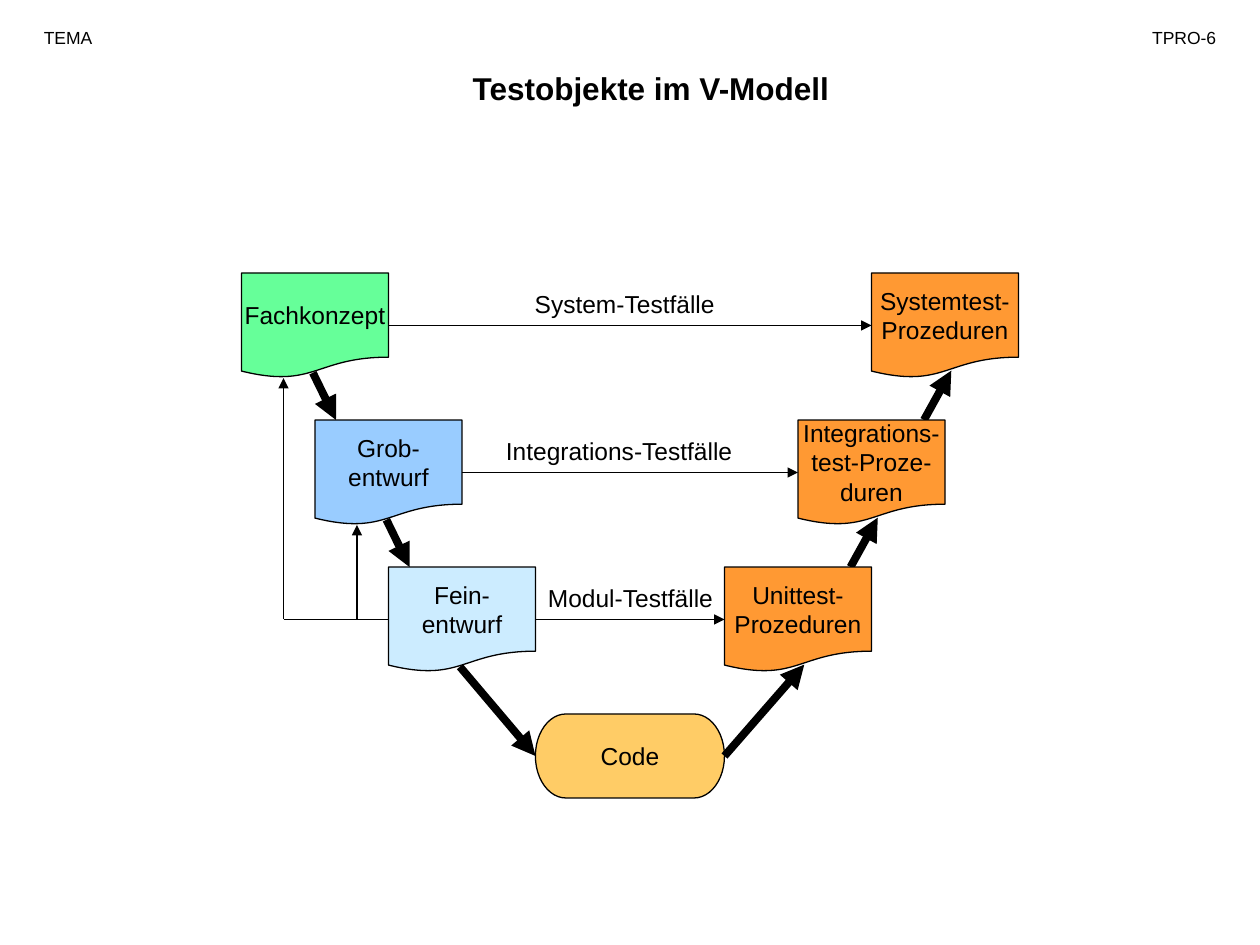
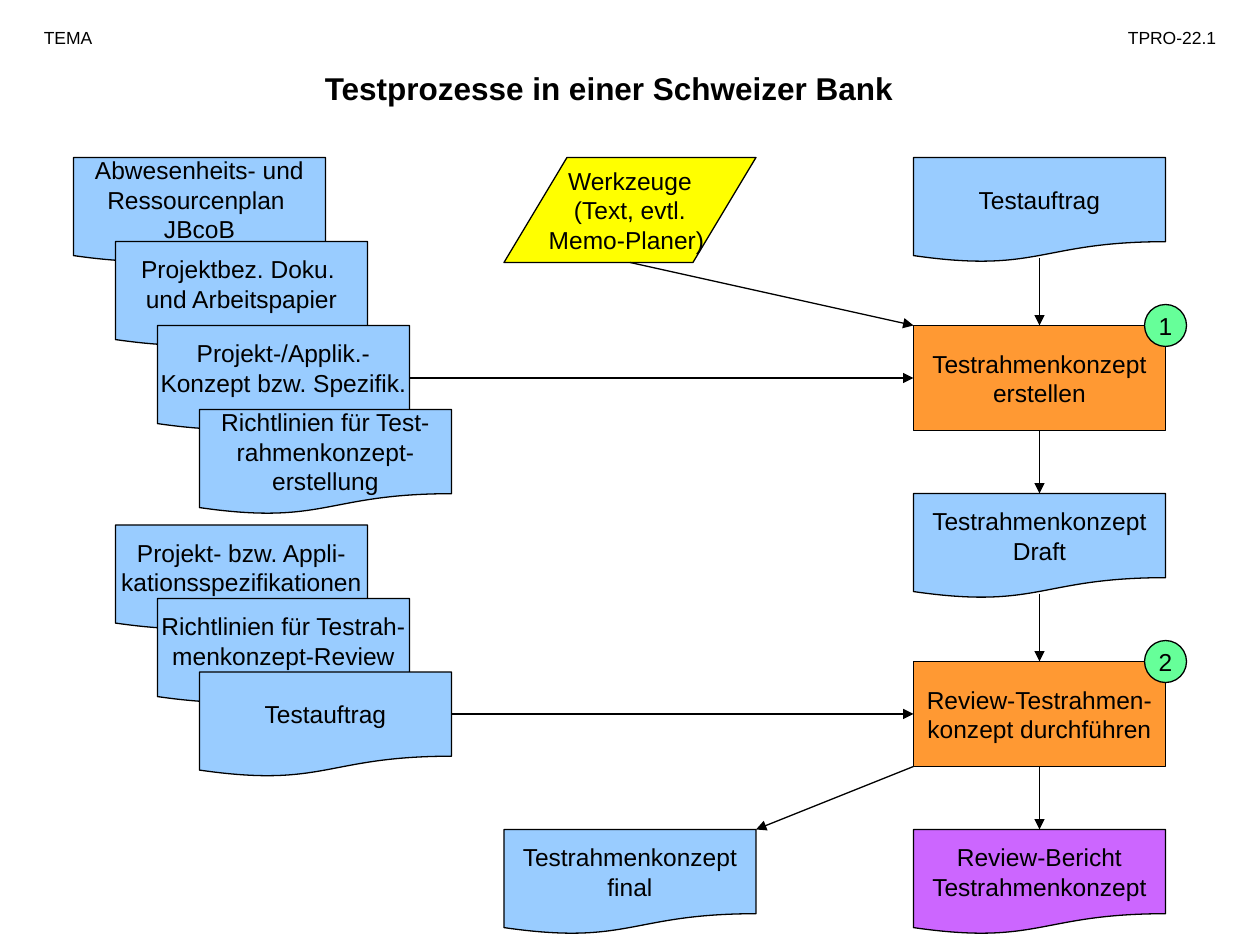
from collections import namedtuple

from lxml import etree
from pptx import Presentation
from pptx.dml.color import RGBColor
from pptx.enum.shapes import MSO_CONNECTOR, MSO_SHAPE
from pptx.enum.text import MSO_ANCHOR, MSO_AUTO_SIZE, PP_ALIGN
from pptx.oxml.ns import qn
from pptx.util import Inches, Pt

BLACK = RGBColor(0x00, 0x00, 0x00)
GREEN = RGBColor(0x66, 0xFF, 0x99)
BLUE = RGBColor(0x99, 0xCC, 0xFF)
PALE_BLUE = RGBColor(0xCC, 0xEC, 0xFF)
ORANGE = RGBColor(0xFF, 0x99, 0x33)
AMBER = RGBColor(0xFF, 0xCC, 0x66)
YELLOW = RGBColor(0xFF, 0xFF, 0x00)
PURPLE = RGBColor(0xCC, 0x66, 0xFF)

DOCUMENT = MSO_SHAPE.FLOWCHART_DOCUMENT
TERMINATOR = MSO_SHAPE.FLOWCHART_TERMINATOR
TOOL = MSO_SHAPE.PARALLELOGRAM
ACTIVITY = MSO_SHAPE.RECTANGLE
BADGE = MSO_SHAPE.OVAL
STRAIGHT = MSO_CONNECTOR.STRAIGHT
LEFT, CENTER, RIGHT = PP_ALIGN.LEFT, PP_ALIGN.CENTER, PP_ALIGN.RIGHT
TOP, MIDDLE = MSO_ANCHOR.TOP, MSO_ANCHOR.MIDDLE
SIDE_TOP, SIDE_LEFT, SIDE_BOTTOM, SIDE_RIGHT = range(4)

# The slide is a grid of 120 columns and 90 rows
WIDTH, HEIGHT = Inches(10), Inches(7.5)
COLUMN, ROW = WIDTH / 120, HEIGHT / 90
BOX_ROWS = 10
THIN, THICK = Pt(0.75), Pt(4.5)

BODY_FONT = {"name": "Arial", "size": Pt(14), "bold": False}
HEADER_FONT = {**BODY_FONT, "size": Pt(10)}
TITLE_FONT = {**BODY_FONT, "size": Pt(18), "bold": True}

Area = namedtuple("Area", "left top width height")
Joint = namedtuple("Joint", "box side")


def to_lengths(area):
    return (round(area.left * COLUMN), round(area.top * ROW),
            round(area.width * COLUMN), round(area.height * ROW))


def write(box, text, font, align, anchor, wrap):
    frame = box.text_frame
    frame.text = text
    layout = {"word_wrap": wrap, "auto_size": MSO_AUTO_SIZE.NONE,
              "vertical_anchor": anchor,
              "margin_left": Inches(0.1), "margin_right": Inches(0.1),
              "margin_top": Inches(0.05), "margin_bottom": Inches(0.05)}
    for name, value in layout.items():
        setattr(frame, name, value)
    for para in frame.paragraphs:
        para.alignment = align
        for span in para.runs:
            span.font.color.rgb = BLACK
            for name, value in font.items():
                setattr(span.font, name, value)


def add_label(page, area, text, font=BODY_FONT, align=LEFT):
    box = page.shapes.add_textbox(*to_lengths(area))
    write(box, text, font, align, TOP, True)


def add_box(page, kind, area, text, colour):
    box = page.shapes.add_shape(kind, *to_lengths(area))
    box.shadow.inherit = False
    box.fill.solid()
    box.fill.fore_color.rgb = colour
    box.line.color.rgb = BLACK
    box.line.width = THIN
    write(box, text, BODY_FONT, CENTER, MIDDLE, False)
    return box


def add_line(page, start, end, width=THIN, arrow=True):
    """Each end is a (column, row) point or a Joint."""
    points = []
    for place in (start, end):
        column, row = (0, 0) if isinstance(place, Joint) else place
        points += [round(column * COLUMN), round(row * ROW)]
    line = page.shapes.add_connector(STRAIGHT, *points)
    if isinstance(start, Joint):
        line.begin_connect(*start)
    if isinstance(end, Joint):
        line.end_connect(*end)
    line.line.color.rgb = BLACK
    line.line.width = width
    properties = line._element.spPr
    if arrow:
        etree.SubElement(properties.find(qn("a:ln")), qn("a:tailEnd"), type="triangle")
    etree.SubElement(properties, qn("a:effectLst"))


def start_page(deck, title, title_area, number):
    page = deck.slides.add_slide(deck.slide_layouts[5])
    heading = page.shapes.title
    heading.left, heading.top, heading.width, heading.height = to_lengths(title_area)
    write(heading, title, TITLE_FONT, CENTER, TOP, True)
    add_label(page, Area(3, 2, 11, 3.2), "TEMA", HEADER_FONT)
    add_label(page, Area(104, 2, 13, 3.2), number, HEADER_FONT, RIGHT)
    return page


def draw_v_model(page, area):
    left, top = area.left, area.top
    right = left + area.width
    step_x, step_y, box_width = 7, 14, 14
    levels = [
        ("Fachkonzept", GREEN, "System-Testfälle", 33, CENTER, "Systemtest-\nProzeduren"),
        ("Grob-\nentwurf", BLUE, "Integrations-Testfälle", 25, LEFT,
         "Integrations-\ntest-Proze-\nduren"),
        ("Fein-\nentwurf", PALE_BLUE, "Modul-Testfälle", 19, LEFT, "Unittest-\nProzeduren"),
    ]
    code = add_box(page, TERMINATOR, Area(left + 28, top + 42, 18, 8), "Code", AMBER)

    # Thick arrows down the left arm and up the right arm
    for level in range(len(levels)):
        shift, row = level * step_x, top + level * step_y
        last = level == len(levels) - 1
        inward = Joint(code, SIDE_LEFT) if last else (left + 9 + shift, row + 14)
        outward = Joint(code, SIDE_RIGHT) if last else (right - 9 - shift, row + 14)
        add_line(page, (left + 6.8 + shift, row + 9.5), inward, THICK)
        add_line(page, outward, (right - 6.4 - shift, row + 9.3), THICK)

    # Design documents, test procedures and the test cases between them
    label_starts = (20, 24, 28)
    for level, (design, colour, cases, width, align, procedure) in enumerate(levels):
        shift, row = level * step_x, top + level * step_y
        source = add_box(page, DOCUMENT, Area(left + shift, row, box_width, BOX_ROWS),
                         design, colour)
        target = add_box(page, DOCUMENT,
                         Area(right - box_width - shift, row, box_width, BOX_ROWS),
                         procedure, ORANGE)
        add_line(page, Joint(source, SIDE_RIGHT), Joint(target, SIDE_LEFT))
        add_label(page, Area(left + label_starts[level], row + 0.95, width, 4),
                  cases, align=align)

    # Feedback from the detailed design to the earlier documents
    feedback_row = top + 33
    add_line(page, Joint(source, SIDE_LEFT), (left + 4, feedback_row), arrow=False)
    for level in range(2):
        column = left + 4 + level * step_x
        add_line(page, (column, feedback_row), (column, top + BOX_ROWS + level * step_y))


def draw_stack(page, area, row_step, texts):
    """Documents laid over one another, each four columns further right."""
    return [add_box(page, DOCUMENT,
                    Area(area.left + 4 * index, area.top + row_step * index,
                         area.width, BOX_ROWS), text, BLUE)
            for index, text in enumerate(texts)]


def draw_process(page, area):
    """Column of documents and numbered activities; returns the boxes."""
    steps = [
        (DOCUMENT, "Testauftrag", BLUE),
        (ACTIVITY, "Testrahmenkonzept\nerstellen", ORANGE),
        (DOCUMENT, "Testrahmenkonzept\nDraft", BLUE),
        (ACTIVITY, "Review-Testrahmen-\nkonzept durchführen", ORANGE),
        (DOCUMENT, "Review-Bericht\nTestrahmenkonzept", PURPLE),
    ]
    row_step = (area.height - BOX_ROWS) / (len(steps) - 1)
    rows = [area.top + row_step * index for index in range(len(steps))]
    boxes = [add_box(page, kind, Area(area.left, row, area.width, BOX_ROWS), text, colour)
             for row, (kind, text, colour) in zip(rows, steps)]
    middle = area.left + area.width / 2
    for index, (upper, lower) in enumerate(zip(boxes, boxes[1:])):
        # Arrows leave a document at its curved lower edge
        start = (Joint(upper, SIDE_BOTTOM) if steps[index][0] == ACTIVITY
                 else (middle, rows[index] + 9.55))
        add_line(page, start, Joint(lower, SIDE_TOP))
    for number, index in enumerate((1, 3), 1):
        badge = Area(area.left + area.width - 2, rows[index] - 2, 4, 4)
        add_box(page, BADGE, badge, str(number), GREEN)
    return boxes


def draw_bank_process(page, area):
    left, top, box_width = area.left, area.top, 24
    process_left = left + area.width - box_width

    # Input documents
    inputs = draw_stack(page, Area(left, top, box_width, 34), 8, [
        "Abwesenheits- und\nRessourcenplan \nJBcoB",
        "Projektbez. Doku. \nund Arbeitspapier",
        "Projekt-/Applik.-\nKonzept bzw. Spezifik.",
        "Richtlinien für Test-\nrahmenkonzept-\nerstellung",
    ])
    draw_stack(page, Area(left + 4, top + 35, box_width, 24), 7, [
        "Projekt- bzw. Appli-\nkationsspezifikationen",
        "Richtlinien für Testrah-\nmenkonzept-Review",
        "Testauftrag",
    ])

    # Tools and final result in the middle column
    middle_left = left + 41
    tools = add_box(page, TOOL, Area(middle_left, top, box_width, BOX_ROWS),
                    "Werkzeuge\n(Text, evtl.\nMemo-Planer) ", YELLOW)
    tools.adjustments[0] = 0.6
    add_box(page, DOCUMENT, Area(middle_left, top + 64, box_width, BOX_ROWS),
            "Testrahmenkonzept\nfinal", BLUE)

    # Process and the flows into and out of it
    boxes = draw_process(page, Area(process_left, top, box_width, area.height))
    create, review = boxes[1], boxes[3]
    add_line(page, Joint(inputs[2], SIDE_RIGHT), Joint(create, SIDE_LEFT))
    add_line(page, (left + 36, top + 53), Joint(review, SIDE_LEFT))
    add_line(page, (middle_left + 12, top + BOX_ROWS), (process_left, top + 16))
    add_line(page, (process_left, top + 58), (middle_left + box_width, top + 64))


def main():
    deck = Presentation()
    deck.slide_width, deck.slide_height = WIDTH, HEIGHT

    page = start_page(deck, "Testobjekte im V-Modell", Area(26, 6, 72, 4.8), "TPRO-6")
    draw_v_model(page, Area(23, 26, 74, 50))

    page = start_page(deck, "Testprozesse in einer Schweizer Bank",
                      Area(9, 6, 98, 4.8), "TPRO-22.1")
    draw_bank_process(page, Area(7, 15, 104, 74))

    deck.save("out.pptx")


if __name__ == "__main__":
    main()
